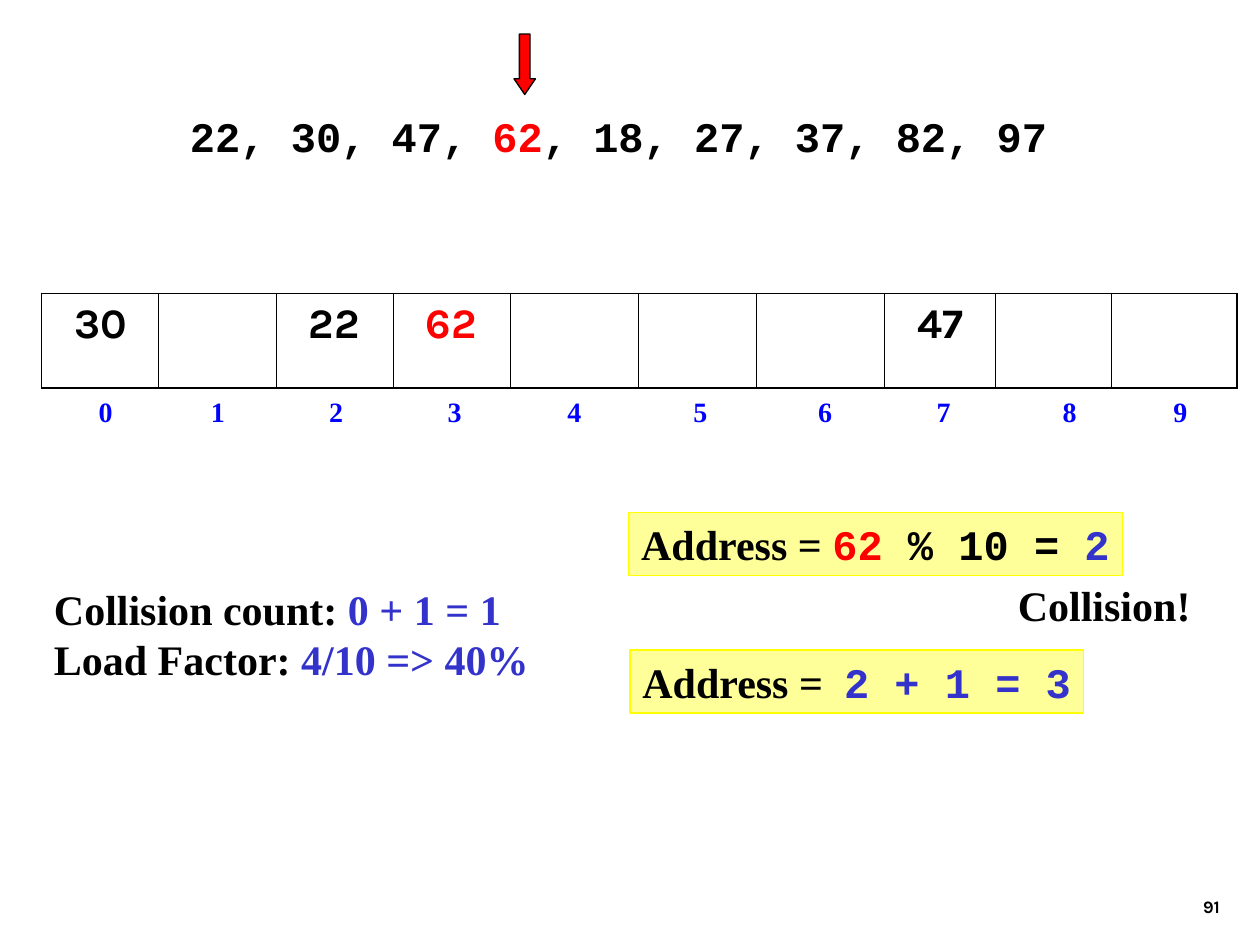
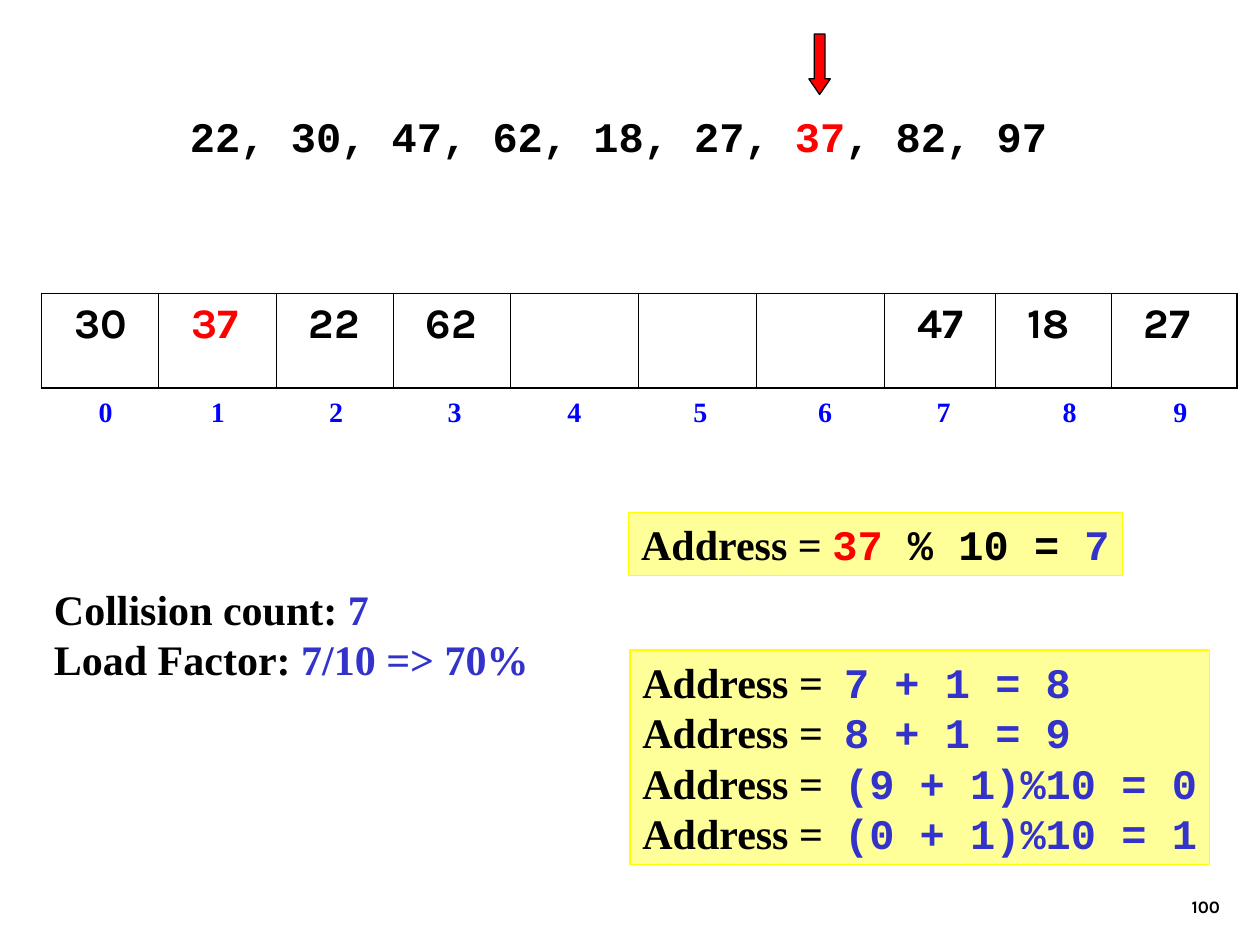
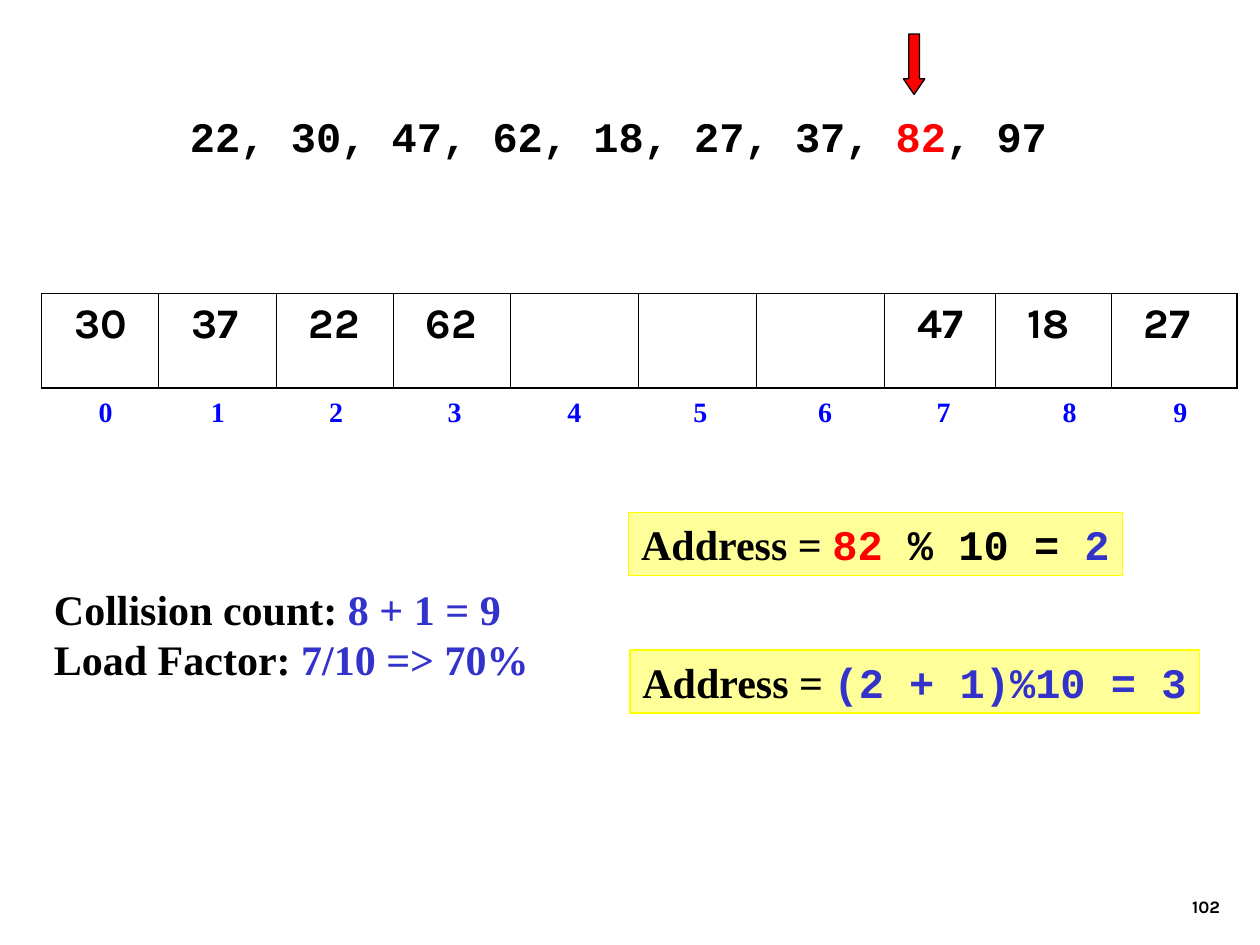
"""Build three slides that step through linear probing in a ten-slot hash table."""
import pptx
import pptx.util
import pptx.dml.color
import pptx.enum.shapes
import pptx.enum.text
import pptx.oxml.ns
from lxml import etree

Inches, Pt = pptx.util.Inches, pptx.util.Pt
RGBColor = pptx.dml.color.RGBColor
SHAPE = pptx.enum.shapes.MSO_SHAPE
qn = pptx.oxml.ns.qn

BLACK = RGBColor(0x00, 0x00, 0x00)
RED = RGBColor(0xFF, 0x00, 0x00)
BLUE = RGBColor(0x00, 0x00, 0xFF)
INDIGO = RGBColor(0x33, 0x33, 0xCC)
CREAM = RGBColor(0xFF, 0xFF, 0x99)
YELLOW = RGBColor(0xFF, 0xFF, 0x00)
SERIF, MONO, SANS = "Times New Roman", "Courier New", "Karla"

KEYS = [22, 30, 47, 62, 18, 27, 37, 82, 97]
SLOTS = 10
LEFT, TABLE_TOP, ROW_HEIGHT = 0.33, 2.33, 0.75
COLUMNS = [0.93, 0.93, 0.93, 0.93, 1.02, 0.93, 1.02, 0.88, 0.92, 1]
INDEX_LEFT, INSET = 0.25, 0.1
INDEX_CENTRES = [0.84, 1.73, 2.67, 3.61, 4.56, 5.56, 6.55, 7.49, 8.49, 9.37]
THIN, THICK = Pt(0.45), Pt(1.08)

STEPS = [
    dict(number="91", key=62, arrow=4.08, slots={0: 30, 2: 22, 3: 62, 7: 47},
         count="0 + 1 = 1", load="4/10 => 40%", lead="Address =  ",
         probes=["2 + 1 = 3"], probe_width=3.6, note="Collision!"),
    dict(number="100", key=37, arrow=6.42,
         slots={0: 30, 1: 37, 2: 22, 3: 62, 7: 47, 8: 18, 9: 27},
         count="7", load="7/10 => 70%", lead="Address =  ",
         probes=["7 + 1 = 8", "8 + 1 = 9", "(9 + 1)%10 = 0", "(0 + 1)%10 = 1"],
         probe_width=4.6, note=None),
    dict(number="102", key=82, arrow=7.17,
         slots={0: 30, 1: 37, 2: 22, 3: 62, 7: 47, 8: 18, 9: 27},
         count="8 + 1 = 9", load="7/10 => 70%", lead="Address = ",
         probes=["(2 + 1)%10 = 3"], probe_width=4.52, note=None),
]


def write(tf, lines, size=24):
    for i, line in enumerate(lines):
        p = tf.paragraphs[0] if i == 0 else tf.add_paragraph()
        p.alignment = pptx.enum.text.PP_ALIGN.LEFT
        for text, font, color in line:
            r = p.add_run()
            r.text = text
            r.font.name, r.font.size, r.font.bold = font, Pt(size), True
            r.font.color.rgb = color


def add_text(s, at, lines, boxed=False):
    box = [Inches(v) for v in at]
    if boxed:
        sp = s.shapes.add_shape(SHAPE.RECTANGLE, *box)
        sp.shadow.inherit = False
        sp.fill.solid()
        sp.fill.fore_color.rgb = CREAM
        sp.line.color.rgb, sp.line.width = YELLOW, Pt(0.75)
    else:
        sp = s.shapes.add_textbox(*box)
    tf = sp.text_frame
    tf.word_wrap = False
    tf.auto_size = pptx.enum.text.MSO_AUTO_SIZE.SHAPE_TO_FIT_TEXT
    tf.vertical_anchor = pptx.enum.text.MSO_ANCHOR.TOP
    write(tf, lines)


prs = pptx.Presentation()
prs.slide_width, prs.slide_height = Inches(10), Inches(7.5)

for step in STEPS:
    s = prs.slides.add_slide(prs.slide_layouts[6])
    key = step["key"]

    sp = s.shapes.add_textbox(Inches(7.7), Inches(6.83), Inches(2.08), Inches(0.5))
    tf = sp.text_frame
    tf.word_wrap = True
    tf.vertical_anchor = pptx.enum.text.MSO_ANCHOR.BOTTOM
    write(tf, [[(step["number"], SANS, BLACK)]], 10)
    tf.paragraphs[0].alignment = pptx.enum.text.PP_ALIGN.RIGHT

    sp = s.shapes.add_textbox(Inches(INDEX_LEFT), Inches(TABLE_TOP + ROW_HEIGHT),
                              Inches(9.58), Inches(0.64))
    tf = sp.text_frame
    tf.word_wrap = True
    tabs = etree.SubElement(tf.paragraphs[0]._p.get_or_add_pPr(), qn("a:tabLst"))
    for centre in INDEX_CENTRES:
        stop = Inches(centre - INDEX_LEFT - INSET)
        etree.SubElement(tabs, qn("a:tab"), pos=str(stop), algn="ctr")
    labels = "".join(f"\t{i}" for i in range(SLOTS))
    write(tf, [[(labels, SERIF, BLUE)]], 16)

    table = s.shapes.add_table(1, SLOTS, Inches(LEFT), Inches(TABLE_TOP),
                               Inches(sum(COLUMNS)), Inches(ROW_HEIGHT)).table
    table.first_row = table.horz_banding = False
    table.rows[0].height = Inches(ROW_HEIGHT)
    for i, width in enumerate(COLUMNS):
        table.columns[i].width = Inches(width)
        cell = table.cell(0, i)
        cell.margin_left = Inches(0.26)
        borders = {"L": THIN if i else THICK, "R": THIN if i < SLOTS - 1 else THICK,
                   "T": THICK, "B": THICK}
        for side, weight in borders.items():
            ln = etree.SubElement(cell._tc.get_or_add_tcPr(), qn(f"a:ln{side}"), w=str(weight))
            fill = etree.SubElement(ln, qn("a:solidFill"))
            etree.SubElement(fill, qn("a:srgbClr"), val=str(BLACK))
        cell.fill.background()
        if i in step["slots"]:
            value = step["slots"][i]
            write(cell.text_frame, [[(str(value), SANS, RED if value == key else BLACK)]])

    at = KEYS.index(key)
    before = "".join(f"{k}, " for k in KEYS[:at])
    after = "".join(f", {k}" for k in KEYS[at + 1:])
    add_text(s, (1.41, 0.83, 7, 0.5),
             [[(before, MONO, BLACK), (str(key), MONO, RED), (after, MONO, BLACK)]])

    arrow = s.shapes.add_shape(SHAPE.DOWN_ARROW, Inches(step["arrow"]), Inches(0.27),
                               Inches(0.17), Inches(0.48))
    arrow.adjustments[0], arrow.adjustments[1] = 0.5, 0.73
    arrow.shadow.inherit = False
    arrow.fill.solid()
    arrow.fill.fore_color.rgb = RED
    arrow.line.color.rgb, arrow.line.width = BLACK, Pt(0.75)

    add_text(s, (LEFT, 4.58, 3.97, 0.9),
             [[("Collision count: ", SERIF, BLACK), (step["count"], SERIF, INDIGO)],
              [("Load Factor: ", SERIF, BLACK), (step["load"], SERIF, INDIGO)]])
    add_text(s, (4.99, 4.07, 3.92, 0.5),
             [[("Address = ", SERIF, BLACK), (str(key), MONO, RED),
               (f" % {SLOTS} = ", MONO, BLACK), (str(key % SLOTS), MONO, INDIGO)]], True)
    if step["note"]:
        add_text(s, (7.98, 4.55, 1.57, 0.5), [[(step["note"], SERIF, BLACK)]])
    probes = step["probes"]
    add_text(s, (5, 5.16, step["probe_width"], 0.1 + 0.4 * len(probes)),
             [[(step["lead"], SERIF, BLACK), (probe, MONO, INDIGO)] for probe in probes], True)

prs.save("out.pptx")
